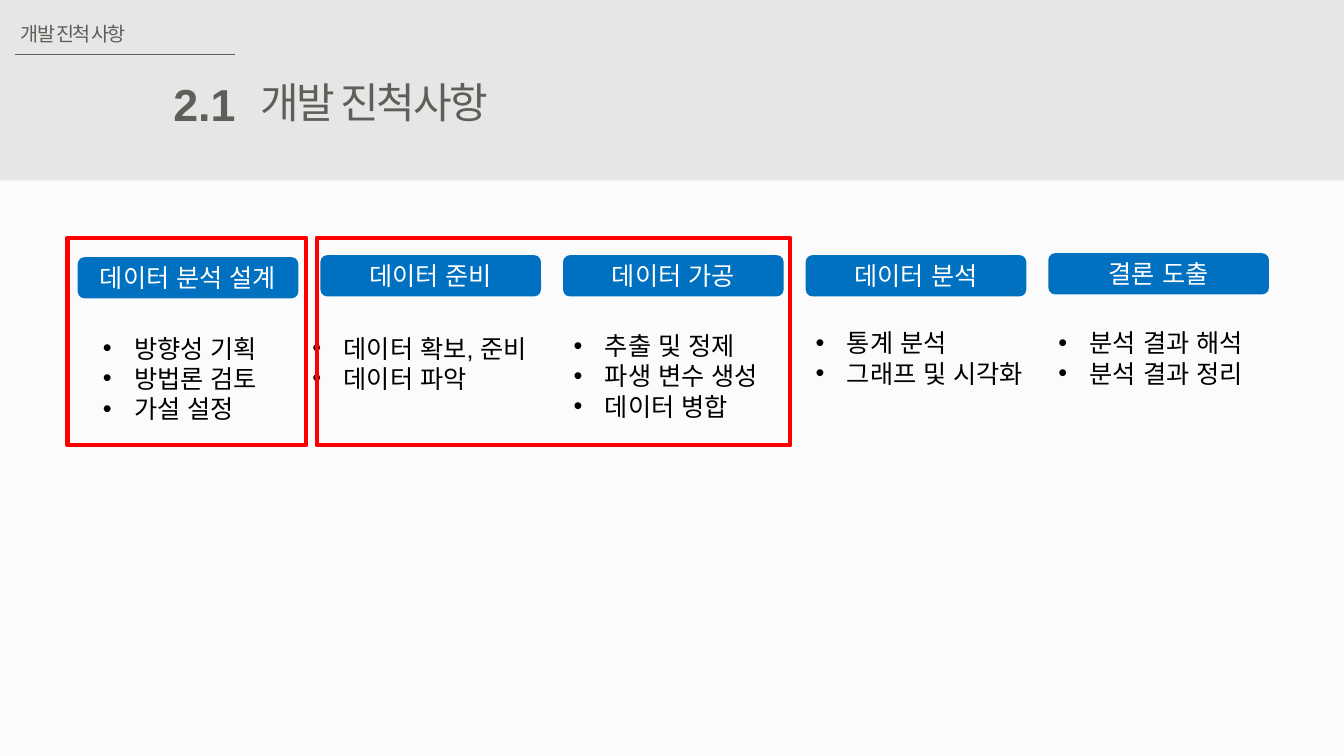
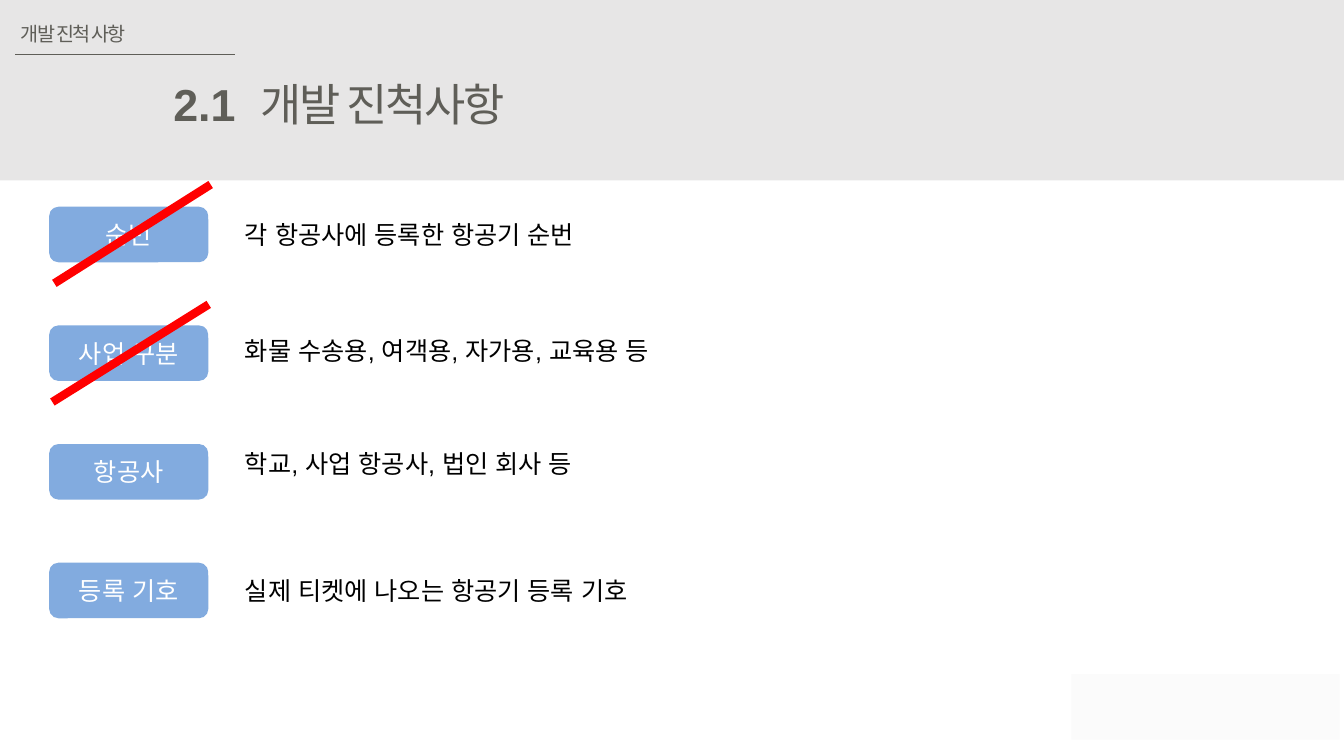
from copy import deepcopy
from dataclasses import dataclass

from lxml.etree import SubElement
from pptx import Presentation
from pptx.dml.color import RGBColor
from pptx.enum.shapes import MSO_CONNECTOR, MSO_SHAPE
from pptx.enum.text import MSO_ANCHOR, MSO_AUTO_SIZE, PP_ALIGN
from pptx.oxml.ns import qn
from pptx.util import Cm, Pt

SLIDE_WIDTH, SLIDE_HEIGHT = 33.87, 19.05
INK, BAND, PAPER, WHITE, BLACK = "5F5E58", "E7E6E6", "FBFBFB", "FFFFFF", "000000"
STEP_BLUE, FIELD_BLUE, RED = "0070C0", "82ABDF", "FF0000"
KOREAN = "Noto Sans CJK KR"
BULLET_INDENT = 0.79


@dataclass(frozen=True)
class Box:
    left: float
    top: float
    width: float
    height: float

    def lengths(self) -> tuple:
        return Cm(self.left), Cm(self.top), Cm(self.width), Cm(self.height)


@dataclass(frozen=True)
class TextStyle:
    size: float = 18
    color: str = BLACK
    font: str = "Arial"
    bold: bool = False
    align: PP_ALIGN = PP_ALIGN.LEFT
    spacing: int = 0


@dataclass(frozen=True)
class Step:
    heading: str
    heading_top: float
    tasks: tuple
    area: Box


@dataclass(frozen=True)
class Field:
    label: str
    meaning: str
    meaning_top: float


@dataclass(frozen=True)
class Line:
    start: tuple
    end: tuple
    color: str
    width: float


LABEL = TextStyle(color=WHITE, align=PP_ALIGN.CENTER)
BODY = TextStyle()

STEPS = (
    Step("데이터 분석 설계", 6.48, ("방향성 기획", "방법론 검토", "가설 설정"), Box(2.34, 8.26, 4.8, 2.57)),
    Step("데이터 준비", 6.43, ("데이터 확보, 준비", "데이터 파악"), Box(7.62, 8.26, 6.45, 1.8)),
    Step("데이터 가공", 6.43, ("추출 및 정제", "파생 변수 생성", "데이터 병합"), Box(14.2, 8.2, 5.56, 2.57)),
    Step("데이터 분석", 6.43, ("통계 분석", "그래프 및 시각화"), Box(20.3, 8.13, 6.12, 1.8)),
    Step("결론 도출", 6.38, ("분석 결과 해석", "분석 결과 정리"), Box(26.42, 8.13, 5.56, 1.8)),
)
PROGRESS_FRAMES = (Box(7.98, 5.99, 11.94, 5.23), Box(1.7, 5.99, 6.02, 5.23))
FIELDS = (
    Field("순번", "각 항공사에 등록한 항공기 순번", 5.41),
    Field("사업 구분", "화물 수송용, 여객용, 자가용, 교육용 등", 8.33),
    Field("항공사", "학교, 사업 항공사, 법인 회사 등", 11.18),
    Field("등록 기호", "실제 티켓에 나오는 항공기 등록 기호", 14.38),
)
STRIKES = (
    Line((5.26, 7.67), (1.32, 10.13), RED, 6),
    Line((5.31, 4.65), (1.37, 7.14), RED, 6),
)
HEADER_RULE = Line((0.38, 1.37), (5.92, 1.37), INK, 0.5)


def rgb(value: str) -> RGBColor:
    return RGBColor.from_string(value)


def assign(target, values: dict) -> None:
    for attribute, value in values.items():
        setattr(target, attribute, value)


def write(shape, lines: tuple, style: TextStyle, wrap: bool = True,
          bulleted: bool = False, anchor=MSO_ANCHOR.TOP, fit=MSO_AUTO_SIZE.SHAPE_TO_FIT_TEXT) -> None:
    frame = shape.text_frame
    assign(frame, {"word_wrap": wrap, "auto_size": fit, "vertical_anchor": anchor})
    for index, line in enumerate(lines):
        paragraph = frame.add_paragraph() if index else frame.paragraphs[0]
        assign(paragraph, {"alignment": style.align, "line_spacing": 1.0,
                           "space_before": Pt(0), "space_after": Pt(0)})
        properties = paragraph._p.get_or_add_pPr()
        indent = Cm(BULLET_INDENT) if bulleted else 0
        properties.set("marL", str(indent))
        properties.set("indent", str(-indent))
        if bulleted:
            SubElement(properties, qn("a:buFont")).set("typeface", "Arial")
            SubElement(properties, qn("a:buChar")).set("char", "•")
        else:
            SubElement(properties, qn("a:buNone"))
        run = paragraph.add_run()
        run.text = line
        assign(run.font, {"size": Pt(style.size), "bold": style.bold, "name": style.font})
        run.font.color.rgb = rgb(style.color)
        run_properties = run._r.get_or_add_rPr()
        SubElement(run_properties, qn("a:ea")).set("typeface", style.font)
        if style.spacing:
            run_properties.set("spc", str(style.spacing))


def place(shape, area: Box) -> None:
    assign(shape, dict(zip(("left", "top", "width", "height"), area.lengths())))


def add_panel(slide, area: Box, fill: str = "", outline: str = "", kind=MSO_SHAPE.RECTANGLE):
    panel = slide.shapes.add_shape(kind, *area.lengths())
    panel.shadow.inherit = False
    if fill:
        panel.fill.solid()
        panel.fill.fore_color.rgb = rgb(fill)
    else:
        panel.fill.background()
    if outline:
        panel.line.color.rgb = rgb(outline)
        panel.line.width = Pt(3)
    else:
        panel.line.fill.background()
    return panel


def add_label(slide, area: Box, text: str, fill: str) -> None:
    label = add_panel(slide, area, fill, kind=MSO_SHAPE.ROUNDED_RECTANGLE)
    write(label, (text,), LABEL, anchor=MSO_ANCHOR.MIDDLE, fit=MSO_AUTO_SIZE.NONE)


def add_line(slide, line: Line) -> None:
    ends = [Cm(value) for value in (*line.start, *line.end)]
    connector = slide.shapes.add_connector(MSO_CONNECTOR.STRAIGHT, *ends)
    connector.line.color.rgb = rgb(line.color)
    connector.line.width = Pt(line.width)
    SubElement(connector._element.spPr, qn("a:effectLst"))


def add_caption(slide, area: Box, text: str, style: TextStyle) -> None:
    write(slide.shapes.add_textbox(*area.lengths()), (text,), style, wrap=False)


def five_list_layout(presentation):
    layout = presentation.slide_layouts.get_by_name("Comparison")
    last_list = next(holder for holder in layout.placeholders if holder.placeholder_format.idx == 4)
    fifth_list = deepcopy(last_list._element)
    fifth_list.ph.set("idx", "13")
    fifth_list.nvSpPr.cNvPr.set("id", "20")
    last_list._element.addnext(fifth_list)
    return layout


def add_section_slide(presentation, layout, background: str, title_size: float, title_area: Box) -> tuple:
    slide = presentation.slides.add_slide(layout)
    slide.background.fill.solid()
    slide.background.fill.fore_color.rgb = rgb(background)
    title, *bodies = slide.placeholders
    band = add_panel(slide, Box(0, 0, SLIDE_WIDTH, 4.55), BAND)
    title._element.addprevious(band._element)
    add_line(slide, HEADER_RULE)
    add_caption(slide, Box(0.28, 0.43, 3.35, 0.86), "개발 진척 사항", TextStyle(14, INK, spacing=-150))
    add_caption(slide, Box(4.11, 1.8, 2.08, 1.63), "2.1", TextStyle(32, INK, bold=True, align=PP_ALIGN.RIGHT))
    place(title, title_area)
    write(title, ("개발 진척사항",), TextStyle(title_size, INK, KOREAN, spacing=-150), wrap=False)
    add_panel(slide, Box(27, 16.99, 6.76, 1.65), PAPER)
    return slide, bodies


def build_steps(presentation, layout) -> None:
    slide, bodies = add_section_slide(presentation, layout, PAPER, 30, Box(6.3, 1.8, 6.93, 1.55))
    for column, (step, body) in enumerate(zip(STEPS, bodies)):
        add_label(slide, Box(1.96 + column * 6.115, step.heading_top, 5.56, 1.04), step.heading, STEP_BLUE)
        place(body, step.area)
        write(body, step.tasks, BODY, bulleted=True)
    for frame in PROGRESS_FRAMES:
        add_panel(slide, frame, outline=RED)


def build_fields(presentation, layout) -> None:
    slide, bodies = add_section_slide(presentation, layout, WHITE, 32, Box(6.3, 1.8, 7.57, 1.63))
    for row, (field, body) in enumerate(zip(FIELDS, bodies)):
        add_label(slide, Box(1.24, 5.21 + row * 2.99, 4.01, 1.4), field.label, FIELD_BLUE)
        place(body, Box(5.92, field.meaning_top, 18.92, 1.02))
        write(body, (field.meaning,), BODY)
    for unused in bodies[len(FIELDS):]:
        unused._element.getparent().remove(unused._element)
    for strike in STRIKES:
        add_line(slide, strike)


def main() -> None:
    presentation = Presentation()
    assign(presentation, {"slide_width": Cm(SLIDE_WIDTH), "slide_height": Cm(SLIDE_HEIGHT)})
    layout = five_list_layout(presentation)
    build_steps(presentation, layout)
    build_fields(presentation, layout)
    presentation.save("out.pptx")


if __name__ == "__main__":
    main()
